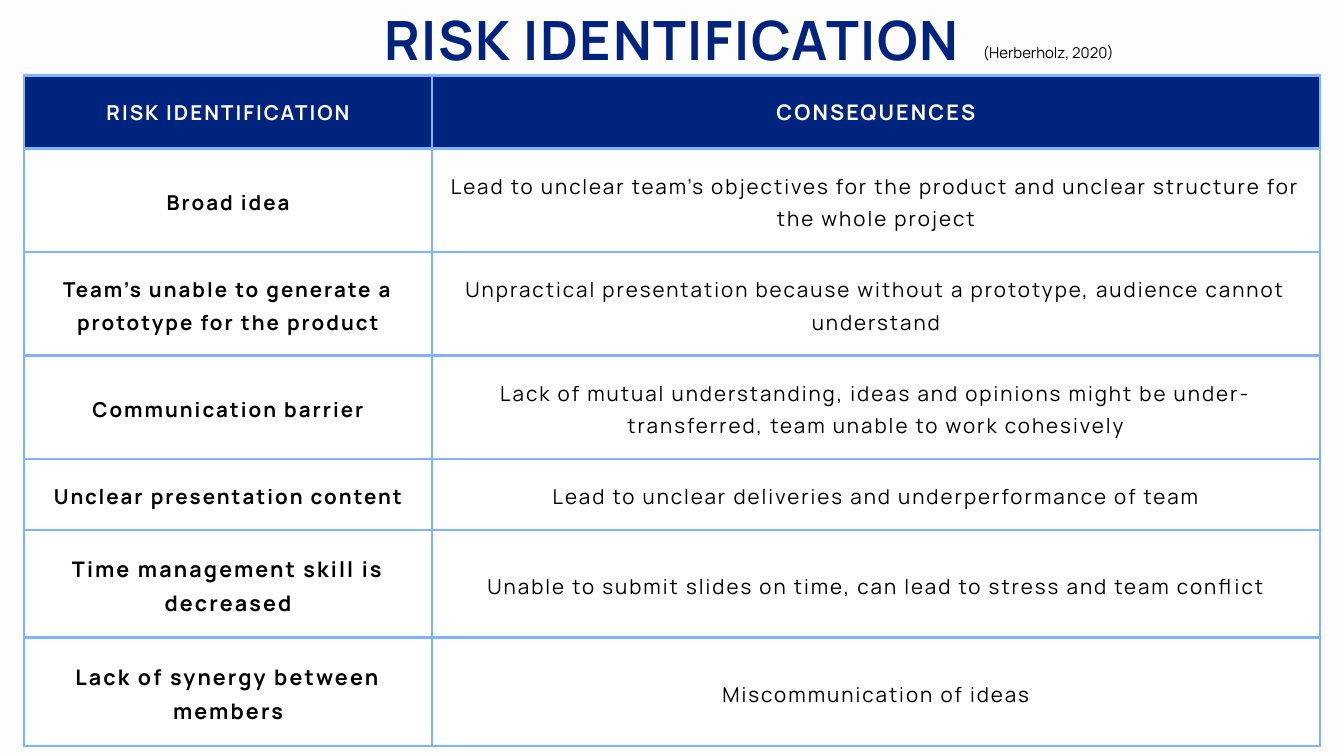
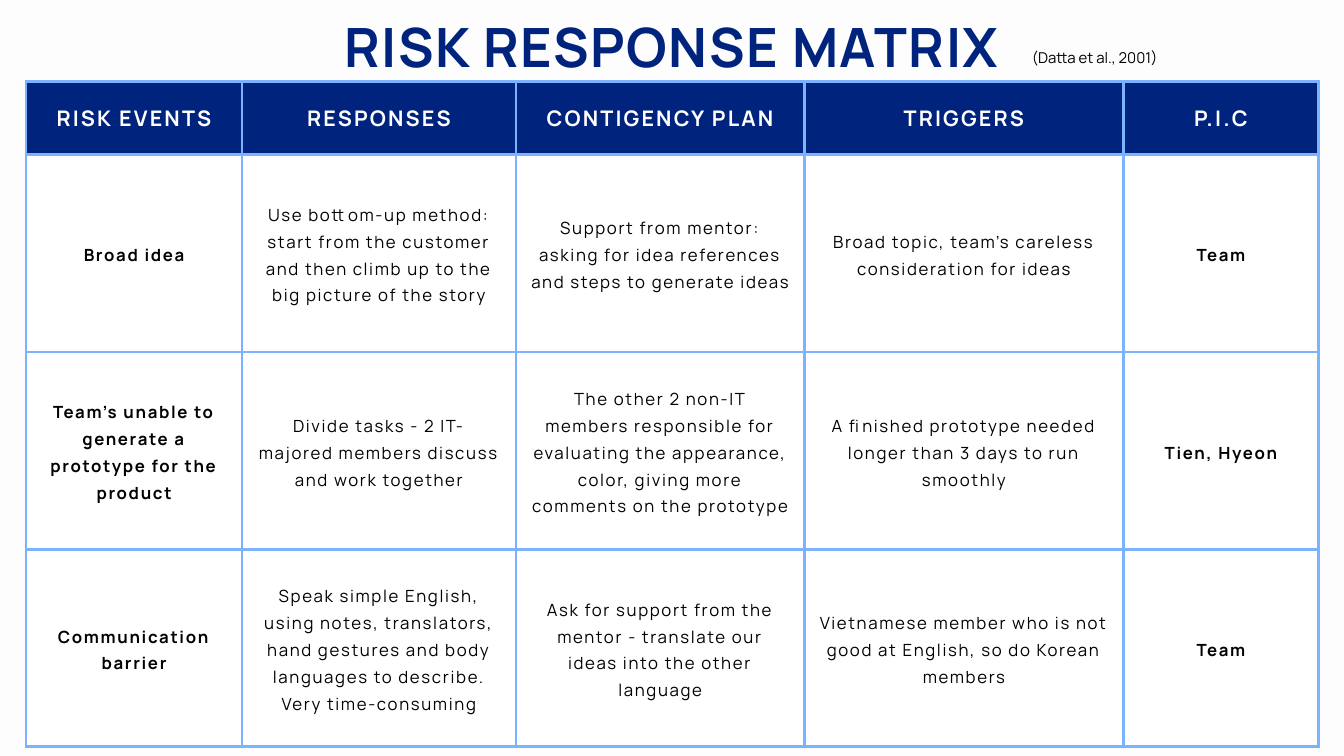
"""Build two risk slides, each a title, a citation and a ruled table."""
from lxml import etree
from pptx import Presentation
from pptx.dml.color import RGBColor
from pptx.enum.text import MSO_ANCHOR, MSO_AUTO_SIZE, PP_ALIGN
from pptx.oxml.ns import qn
from pptx.util import Inches, Pt

CENTER = PP_ALIGN.CENTER
MIDDLE = MSO_ANCHOR.MIDDLE
GROW = MSO_AUTO_SIZE.SHAPE_TO_FIT_TEXT
WIDE, HIGH = 20, 11.25
SIDES = ("left", "right", "top", "bottom")

THEME = {
    "font": "Manrope", "page": "FDFDFD", "navy": "00247D", "white": "FFFFFF",
    "black": "000000", "rule": 3, "pad": 0.21,
    "title": {"size": 57.99, "color": "navy", "bold": True, "lead": 1.3, "track": 1.73},
    "cite": {"size": 15.99, "color": "black", "bold": False, "lead": 1.4, "track": 0},
    "head": {"size": 22.99, "color": "white", "bold": True, "lead": 1.4},
    "body": {"color": "black", "lead": 1.6},
}

SLIDES = [
    {
        "title": "RISK IDENTIFICATION", "top": 0.01,
        "cite": ("(Herberholz, 2020)", 14.59, 0.6, 2.02),
        "grid": (0.36, 1.12), "line": "7CB4FF", "size": 21.99,
        "cols": [6.07, 13.21],
        "rows": [1.09] + [1.54] * 3 + [1.06, 1.6, 1.61],
        "bold": {0}, "sizes": {(0, 0): 21.99, (5, 0): 22.99, (6, 0): 22.99},
        "cells": [
            ("RISK IDENTIFICATION", "CONSEQUENCES"),
            ("Broad idea",
             "Lead to unclear team’s objectives for the product and unclear "
             "structure for the whole project"),
            ("Team’s unable to generate a prototype for the product",
             "Unpractical presentation because without a prototype, audience "
             "cannot understand"),
            ("Communication barrier",
             "Lack of mutual understanding, ideas and opinions might be "
             "under-transferred, team unable to work cohesively"),
            ("Unclear presentation content",
             "Lead to unclear deliveries and underperformance of team"),
            ("Time management skill is decreased",
             "Unable to submit slides on time, can lead to stress and team conflict"),
            ("Lack of synergy between members", "Miscommunication of ideas"),
        ],
    },
    {
        "title": "RISK RESPONSE MATRIX", "top": 0.12,
        "cite": ("(Datta et al., 2001)", 15.29, 0.68, 2),
        "grid": (0.39, 1.21), "line": "7CB3FF", "size": 17.99,
        "cols": [3.21, 4.08, 4.29, 4.75, 2.9],
        "rows": [1.09, 2.94, 2.94, 2.93],
        "bold": {0, 4}, "sizes": {},
        "cells": [
            ("RISK EVENTS", "RESPONSES", "CONTIGENCY PLAN", "TRIGGERS", "P.I.C"),
            ("Broad idea",
             "Use bottom-up method: start from the customer and then climb up to "
             "the big picture of the story",
             "Support from mentor: asking for idea references and steps to "
             "generate ideas",
             "Broad topic, team’s careless consideration for ideas", "Team"),
            ("Team’s unable to generate a prototype for the product",
             "Divide tasks - 2 IT-majored members discuss and work together",
             "The other 2 non-IT members responsible for evaluating the "
             "appearance, color, giving more comments on the prototype",
             "A finished prototype needed longer than 3 days to run smoothly",
             "Tien, Hyeon"),
            ("Communication barrier",
             "Speak simple English, using notes, translators, hand gestures and "
             "body languages to describe. Very time-consuming",
             "Ask for support from the mentor - translate our ideas into the "
             "other language",
             "Vietnamese member who is not good at English, so do Korean members",
             "Team"),
        ],
    },
]


def tint(name):
    return RGBColor.from_string(THEME.get(name, name))


def pad(part, gap):
    for side in SIDES:
        setattr(part, f"margin_{side}", Inches(gap))


def write(frame, text, look):
    para = frame.paragraphs[0]
    para.alignment = CENTER
    para.line_spacing = Pt(look["size"] * look["lead"])
    run = para.add_run()
    run.text = text
    font = {"name": THEME["font"], "size": Pt(look["size"]), "bold": look["bold"]}
    for key, value in font.items():
        setattr(run.font, key, value)
    run.font.color.rgb = tint(look["color"])
    track = look.get("track", look["size"] / 10)
    run.font._element.set("spc", str(int(track * 100)))


def label(slide, text, box, look):
    frame = slide.shapes.add_textbox(*map(Inches, box)).text_frame
    frame.word_wrap = True
    frame.auto_size = GROW
    pad(frame, 0)
    write(frame, text, look)


def edge(cell, color):
    props = cell._tc.get_or_add_tcPr()
    for side in SIDES:
        line = etree.SubElement(props, qn(f"a:ln{side[0].upper()}"),
                                w=str(Pt(THEME["rule"])))
        fill = etree.SubElement(line, qn("a:solidFill"))
        etree.SubElement(fill, qn("a:srgbClr"), val=color)


def style(data, row, col):
    look = dict(THEME["body"], size=data["size"], bold=col in data["bold"])
    if row == 0:
        look = dict(THEME["head"])
    look["size"] = data["sizes"].get((row, col), look["size"])
    return look


def grid(slide, data):
    cols, rows = data["cols"], data["rows"]
    box = (*data["grid"], sum(cols), sum(rows))
    table = slide.shapes.add_table(len(rows), len(cols), *map(Inches, box)).table
    for col, width in zip(table.columns, cols):
        col.width = Inches(width)
    for row, height in zip(table.rows, rows):
        row.height = Inches(height)
    for r, texts in enumerate(data["cells"]):
        for c, text in enumerate(texts):
            cell = table.cell(r, c)
            cell.vertical_anchor = MIDDLE
            pad(cell, THEME["pad"])
            edge(cell, data["line"])
            cell.fill.solid()
            cell.fill.fore_color.rgb = tint("white" if r else "navy")
            write(cell.text_frame, text, style(data, r, c))


def main():
    deck = Presentation()
    deck.slide_width, deck.slide_height = Inches(WIDE), Inches(HIGH)
    side = WIDE * 0.056
    for data in SLIDES:
        slide = deck.slides.add_slide(deck.slide_layouts[6])
        slide.background.fill.solid()
        slide.background.fill.fore_color.rgb = tint("page")
        grid(slide, data)
        label(slide, data["title"], (side, data["top"], WIDE - 2 * side, 1.09),
              THEME["title"])
        text, *spot = data["cite"]
        label(slide, text, (*spot, 0.31), THEME["cite"])
    deck.save("out.pptx")


if __name__ == "__main__":
    main()
